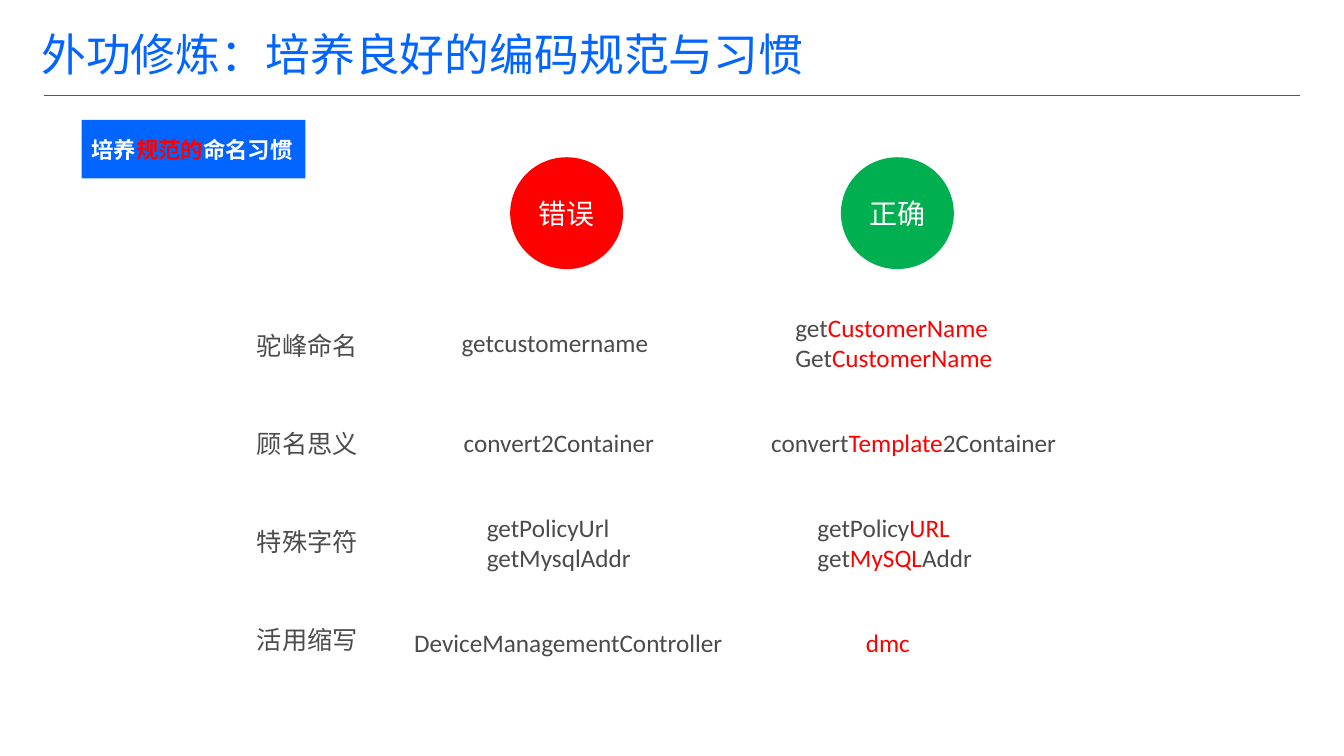
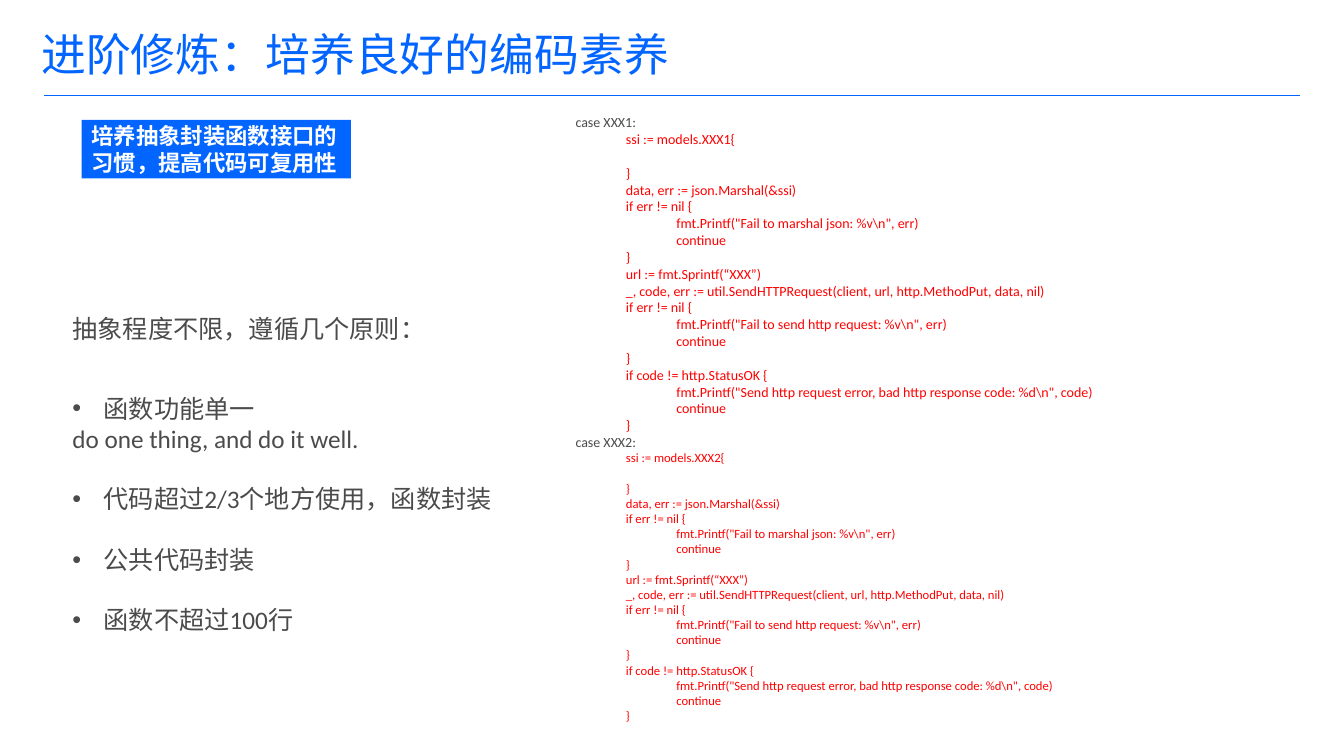
from lxml.etree import SubElement
from pptx import Presentation
from pptx.dml.color import RGBColor
from pptx.enum.shapes import MSO_CONNECTOR as Connector, MSO_SHAPE as Preset
from pptx.enum.text import MSO_ANCHOR as Anchor, PP_ALIGN as Align
from pptx.oxml.ns import qn
from pptx.util import Inches, Pt

WIDTH, HEIGHT = 13.33, 7.5
BLUE, RED, GREEN, GREY, WHITE = "0265FF", "FF0000", "00B050", "4B4B4B", "FFFFFF"
BODY, HEAVY = "Calibri", "Noto Sans CJK SC"
LINE_HEIGHT = 1.2

NAMING_TITLE = "外功修炼：培养良好的编码规范与习惯"
NAMING_TAG = "培养*规范的*命名习惯"
VERDICTS = [("错误", RED, 5.06), ("正确", GREEN, 8.34)]
NAMING_RULES = [
    ("驼峰命名", (4.48, ["getcustomername"]),
     (7.79, ["get*CustomerName*", "Get*CustomerName*"])),
    ("顾名思义", (4.5, ["convert2Container"]),
     (7.55, ["convert*Template*2Container"])),
    ("特殊字符", (4.73, ["getPolicyUrl", "getMysqlAddr"]),
     (8.01, ["getPolicy*URL*", "get*MySQL*Addr"])),
    ("活用缩写", (4.01, ["DeviceManagementController"]),
     (8.49, ["*dmc*"])),
]
LABEL_LEFT, LABEL_MIDDLE, LABEL_PITCH = 2.45, 3.43, 0.97
NAME_MIDDLE, NAME_PITCH = 3.4, 0.99

REUSE_TITLE = "进阶修炼：培养良好的编码素养"
REUSE_TAG = "培养抽象封装函数接口的习惯，提高代码可复用性"
PRINCIPLES_LEAD = "抽象程度不限，遵循几个原则："
PRINCIPLES = [
    ("函数功能单一", True),
    ("do one thing, and do it well.", False),
    ("代码超过2/3个地方使用，函数封装", True),
    ("公共代码封装", True),
    ("函数不超过100行", True),
]
CASES = [("XXX1", 10), ("XXX2", 9)]
CASE_BODY = [
    (1, "}"),
    (1, "data, err := json.Marshal(&ssi)"),
    (1, "if err != nil {"),
    (2, 'fmt.Printf("Fail to marshal json: %v\\n", err)'),
    (2, "continue"),
    (1, "}"),
    (1, "url := fmt.Sprintf(“XXX”)"),
    (1, "_, code, err := util.SendHTTPRequest(client, url, http.MethodPut, data, nil)"),
    (1, "if err != nil {"),
    (2, 'fmt.Printf("Fail to send http request: %v\\n", err)'),
    (2, "continue"),
    (1, "}"),
    (1, "if code != http.StatusOK {"),
    (2, 'fmt.Printf("Send http request error, bad http response code: %d\\n", code)'),
    (2, "continue"),
    (1, "}"),
]


def rgb(value):
    return RGBColor.from_string(value)


def write(frame, text, first=False, size=18, color=GREY, font=BODY, bold=False,
          align=Align.LEFT, before=0, spacing=None, indent=0, bullet=False):
    paragraph = frame.paragraphs[0] if first else frame.add_paragraph()
    properties = paragraph._p.get_or_add_pPr()
    if indent:
        properties.set("marL", str(Inches(indent)))
        properties.set("indent", str(-Inches(indent) if bullet else 0))
    if bullet:
        SubElement(properties, qn("a:buFont")).set("typeface", "Arial")
        SubElement(properties, qn("a:buChar")).set("char", "•")
    paragraph.alignment = align
    if before and not first:
        paragraph.space_before = Pt(before)
    if spacing:
        paragraph.line_spacing = spacing
    for place, part in enumerate(text.split("*")):
        if part:
            run = paragraph.add_run()
            run.text = part
            run.font.size, run.font.name, run.font.bold = Pt(size), font, bold
            run.font.color.rgb = rgb(RED if place % 2 else color)


def set_frame(shape, anchor, across=0.1, down=0.05):
    frame = shape.text_frame
    frame.word_wrap = True
    frame.vertical_anchor = anchor
    frame.margin_left = frame.margin_right = Inches(across)
    frame.margin_top = frame.margin_bottom = Inches(down)
    return frame


def text_area(slide, left, top, width, height, anchor=Anchor.TOP, across=0.1):
    box = slide.shapes.add_textbox(*map(Inches, (left, top, width, height)))
    return set_frame(box, anchor, across)


def filled(slide, preset, left, top, width, height, fill, across=0.1):
    shape = slide.shapes.add_shape(preset, *map(Inches, (left, top, width, height)))
    shape.shadow.inherit = False
    shape.fill.solid()
    shape.fill.fore_color.rgb = rgb(fill)
    shape.line.fill.background()
    return set_frame(shape, Anchor.MIDDLE, across)


def start_slide(deck, title, tag, tag_width):
    slide = deck.slides.add_slide(deck.slide_layouts[6])
    rule = slide.shapes.add_connector(
        Connector.STRAIGHT, *map(Inches, (0.44, 0.95, 12.89, 0.95)))
    rule.line.color.rgb = rgb(BLUE)
    rule.line.width = Pt(1)
    SubElement(rule._element.spPr, qn("a:effectLst"))
    heading = text_area(slide, 0.36, 0.17, 9.86, 0.79, Anchor.MIDDLE, 0.05)
    write(heading, title, first=True, size=32, color=BLUE, spacing=0.9)
    tag_area = filled(slide, Preset.RECTANGLE, 0.81, 1.19, tag_width, 0.58, BLUE)
    write(tag_area, tag, first=True, size=16, color=WHITE, font=HEAVY, bold=True)
    return slide


def naming_slide(deck):
    slide = start_slide(deck, NAMING_TITLE, NAMING_TAG, 2.22)
    for verdict, fill, left in VERDICTS:
        circle = filled(slide, Preset.OVAL, left, 1.56, 1.12, 1.11, fill, 0)
        write(circle, verdict, first=True, size=20, color=WHITE, font=HEAVY,
              align=Align.CENTER)
    for row, (label, *examples) in enumerate(NAMING_RULES):
        middle = LABEL_MIDDLE + row * LABEL_PITCH
        area = text_area(slide, LABEL_LEFT, middle - 0.2, 1.4, 0.4, Anchor.MIDDLE)
        write(area, label, first=True)
        middle = NAME_MIDDLE + row * NAME_PITCH
        for left, names in examples:
            height = 0.1 + 0.3 * len(names)
            area = text_area(slide, left, middle - height / 2, 3.6, height,
                             Anchor.MIDDLE)
            for line, name in enumerate(names):
                write(area, name, first=line == 0)


def reuse_slide(deck):
    slide = start_slide(deck, REUSE_TITLE, REUSE_TAG, 2.67)
    code = text_area(slide, 5.61, 1.08, 7.5, 6.21)
    for number, (case, size) in enumerate(CASES):
        write(code, f"case {case}:", first=number == 0, size=10)
        write(code, f"ssi := models.{case}{{", size=size, color=RED, indent=0.5)
        for line, (level, statement) in enumerate(CASE_BODY):
            write(code, statement, size=size, color=RED, indent=0.5 * level,
                  before=0 if line else size * LINE_HEIGHT)
    lead = text_area(slide, 0.62, 3.06, 4.42, 0.4)
    write(lead, PRINCIPLES_LEAD, first=True)
    principles = text_area(slide, 0.62, 3.85, 4.4, 2.52)
    for place, (principle, bullet) in enumerate(PRINCIPLES):
        write(principles, principle, first=place == 0, bullet=bullet,
              indent=0.31 if bullet else 0,
              before=18 * LINE_HEIGHT if bullet else 0)


def main():
    deck = Presentation()
    deck.slide_width, deck.slide_height = Inches(WIDTH), Inches(HEIGHT)
    naming_slide(deck)
    reuse_slide(deck)
    deck.save("out.pptx")


if __name__ == "__main__":
    main()
